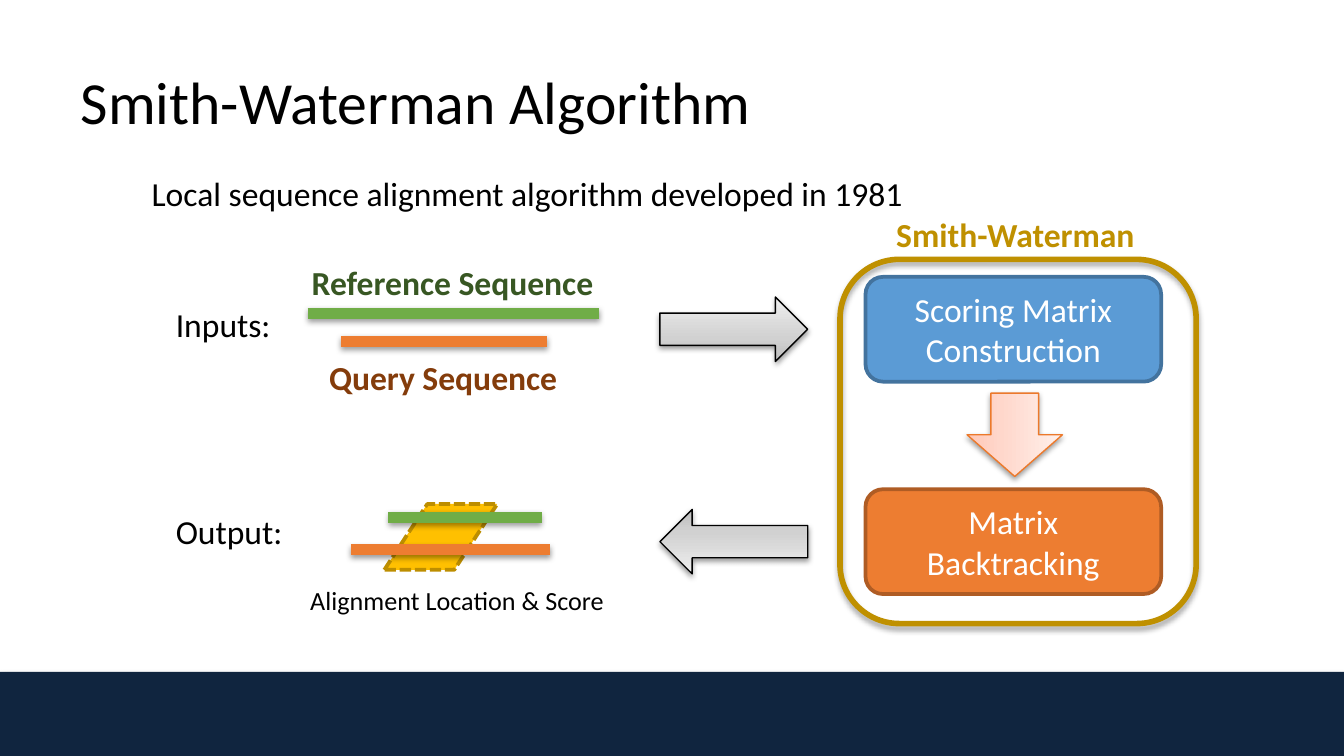
import copy
from lxml import etree
from pptx import Presentation
from pptx.dml.color import RGBColor
from pptx.enum import dml, shapes, text
from pptx.oxml.ns import qn
from pptx.util import Inches, Pt

# Content: positions are left, top, width, height in inches
SLIDE_W = 10
SLIDE_H = SLIDE_W * 9 / 16
BAND_TOP = 5
TITLE = "Smith-Waterman Algorithm"
BLACK, WHITE, NAVY = "000000", "FFFFFF", "10253F"
GREEN, ORANGE, GOLD = "70AD47", "ED7D31", "BF9000"
GRAY_FADE = ("BDBDBD", "D1D1D1", "EEEEEE")
PEACH_FADE = ("FFC7B6", "FFD7CB", "FFF0EB")
FADE_POSITIONS = (0, 0.35, 1)

LABELS = [  # text, box, size, colour, bold, wrap
    ("Local sequence alignment algorithm developed in 1981",
     (1.03, 1.24, 6.7, 0.4), 18, BLACK, False, True),
    ("Reference Sequence", (2.22, 1.9, 2.31, 0.4), 18, "385723", True, False),
    ("Query Sequence", (2.35, 2.61, 1.91, 0.4), 18, "843C0B", True, False),
    ("Inputs:", (1.21, 2.21, 0.92, 0.4), 18, BLACK, False, False),
    ("Output:", (1.21, 3.75, 1, 0.4), 18, BLACK, False, False),
    ("Alignment Location & Score", (2.21, 4.3, 2.41, 0.34), 14, BLACK, False, False),
    ("Smith-Waterman", (6.57, 1.54, 1.99, 0.4), 18, GOLD, True, False),
]
SEQUENCES = [  # start x, end x, y, colour
    (2.29, 4.46, 2.33, GREEN),
    (2.54, 4.07, 2.54, ORANGE),
    (2.89, 4.03, 3.85, GREEN),
    (2.61, 4.09, 4.09, ORANGE),
]
ALIGNED_REGION = [(2.86, 4.24), (3.18, 3.75), (3.7, 3.75), (3.38, 4.24)]
ARROWS = [  # box, rotation, fade, line colour
    ((4.91, 2.21, 1.1, 0.48), 0, GRAY_FADE, BLACK),
    ((4.91, 3.79, 1.1, 0.48), 180, GRAY_FADE, BLACK),
    ((7.24, 2.88, 0.62, 0.71), 90, PEACH_FADE, "EC792B"),
]
STEPS = [  # text, top, fill, line colour
    ("Scoring Matrix Construction", 2.06, "5B9BD5", "43739E"),
    ("Matrix Backtracking", 3.64, ORANGE, "AF5C24"),
]


def rgb(value):
    return RGBColor.from_string(value)


def set_line(sp, color, width):
    sp.line.color.rgb = rgb(color)
    sp.line.width = Pt(width)


def add_shadow(sp, color=BLACK, alpha=38, blur=3.1, dist=1.6):
    """Give a shape or connector a soft shadow straight below it."""
    props = sp._element.spPr
    effects = props.find(qn("a:effectLst"))
    if effects is None:
        effects = etree.SubElement(props, qn("a:effectLst"))
    outer = etree.SubElement(effects, qn("a:outerShdw"), blurRad=str(Pt(blur)),
                             dist=str(Pt(dist)), dir="5400000", rotWithShape="0")
    clr = etree.SubElement(outer, qn("a:srgbClr"), val=color)
    etree.SubElement(clr, qn("a:alpha"), val=str(alpha * 1000))


def add_box(kind, box, fill=None):
    sp = s.shapes.add_shape(kind, *map(Inches, box))
    sp.shadow.inherit = False
    if fill:
        sp.fill.solid()
        sp.fill.fore_color.rgb = rgb(fill)
    else:
        sp.fill.background()
    return sp


def fade(sp, colors):
    sp.fill.gradient()
    sp.fill.gradient_angle = 90
    stops = sp._element.spPr.find(".//" + qn("a:gsLst"))
    stops.insert(1, copy.deepcopy(stops[0]))
    for stop, color, position in zip(sp.fill.gradient_stops, colors, FADE_POSITIONS):
        stop.color.rgb = rgb(color)
        stop.position = position


def write(sp, words, size, color, bold=False, align=text.PP_ALIGN.LEFT,
          anchor=text.MSO_ANCHOR.TOP, wrap=True):
    tf = sp.text_frame
    tf.text = words
    tf.word_wrap = wrap
    tf.vertical_anchor = anchor
    p = tf.paragraphs[0]
    p.alignment = align
    p.font.name = "Calibri"
    p.font.size = Pt(size)
    p.font.bold = bold
    p.font.color.rgb = rgb(color)


prs = Presentation()
prs.slide_width, prs.slide_height = Inches(SLIDE_W), Inches(SLIDE_H)
s = prs.slides.add_slide(prs.slide_layouts[5])

# Title
title = s.shapes.title
title.left, title.top, title.width, title.height = map(Inches, (0.5, 0.43, 5.24, 0.64))
write(title, TITLE, 32, BLACK, wrap=False)

# Footer band
band = add_box(shapes.MSO_SHAPE.RECTANGLE,
               (0, BAND_TOP, SLIDE_W, SLIDE_H - BAND_TOP), NAVY)
band.line.fill.background()
add_shadow(band, "808080", 35, dist=1.8)

# Aligned region, behind the output sequences
points = [(Inches(x), Inches(y)) for x, y in ALIGNED_REGION]
builder = s.shapes.build_freeform(*points[0])
builder.add_line_segments(points[1:], close=True)
region = builder.convert_to_shape()
region.shadow.inherit = False
region.fill.solid()
region.fill.fore_color.rgb = rgb("FFC000")
set_line(region, "BD8E00", 2)
region.line.dash_style = dml.MSO_LINE.SQUARE_DOT

# Sequences
for x1, x2, y, color in SEQUENCES:
    line = s.shapes.add_connector(shapes.MSO_CONNECTOR.STRAIGHT,
                                  *map(Inches, (x1, y, x2, y)))
    set_line(line, color, 6)
    add_shadow(line)

# Steps of the algorithm
for words, top, fill, color in STEPS:
    step = add_box(shapes.MSO_SHAPE.ROUNDED_RECTANGLE, (6.44, top, 2.2, 0.78), fill)
    set_line(step, color, 2)
    write(step, words, 18, WHITE, align=text.PP_ALIGN.CENTER,
          anchor=text.MSO_ANCHOR.MIDDLE)

# Flow arrows
for box, rotation, colors, color in ARROWS:
    arrow = add_box(shapes.MSO_SHAPE.RIGHT_ARROW, box)
    arrow.rotation = rotation
    fade(arrow, colors)
    set_line(arrow, color, 0.75)
    add_shadow(arrow)

# Frame around the steps
frame = add_box(shapes.MSO_SHAPE.ROUNDED_RECTANGLE, (6.25, 1.93, 2.65, 2.71))
set_line(frame, GOLD, 3)
add_shadow(frame, alpha=35, dist=1.8)

# Labels
for words, box, size, color, bold, wrap in LABELS:
    label = s.shapes.add_textbox(*map(Inches, box))
    write(label, words, size, color, bold, wrap=wrap)

prs.save("out.pptx")
